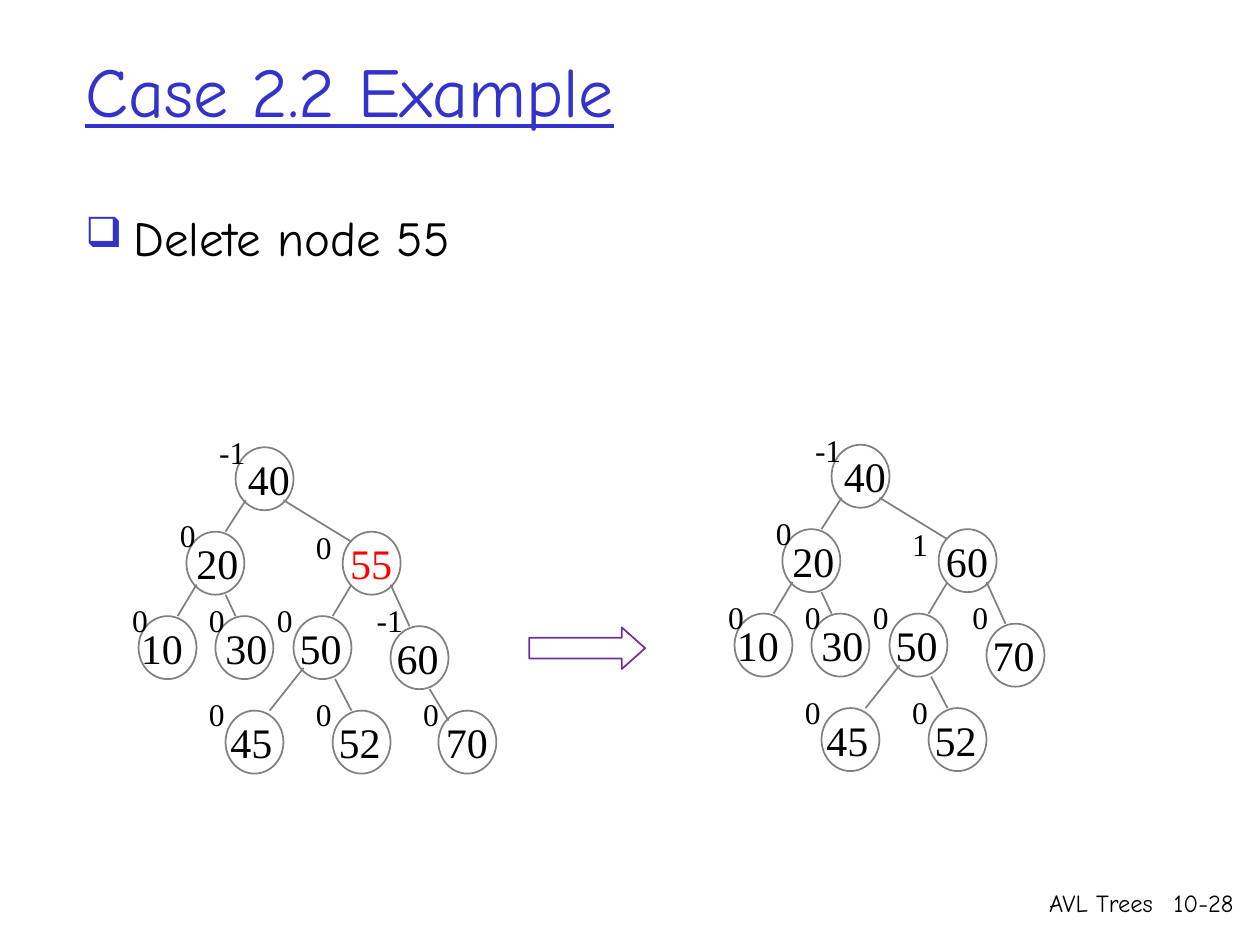
from dataclasses import dataclass

from lxml import etree
from pptx import Presentation, util as u
from pptx.dml.color import RGBColor
from pptx.enum import shapes, text
from pptx.oxml.ns import qn


def colour(value):
    return RGBColor.from_string(value)


@dataclass
class Canvas:
    """Style, current slide and the shape collection that is being filled."""
    slide: object
    shapes: object
    heading_font: str = "Comic Neue"
    tree_font: str = "Times New Roman"
    ink: str = "000000"
    accent: str = "3333CC"
    outline: str = "808080"

    def start_group(self):
        self.shapes = self.slide.shapes.add_group_shape().shapes

    def end_group(self):
        self.shapes = self.slide.shapes

    def text(self, words, left, top, width, height, size, font=None,
             fill=None, align=text.PP_ALIGN.LEFT, wrap=True, grow=False):
        box = self.shapes.add_textbox(*map(u.Inches, (left, top, width, height)))
        frame = box.text_frame
        frame.text = words
        frame.word_wrap = wrap
        if grow:
            frame.auto_size = text.MSO_AUTO_SIZE.SHAPE_TO_FIT_TEXT
        paragraph = frame.paragraphs[0]
        paragraph.alignment = align
        run_font = paragraph.runs[0].font
        run_font.size = u.Pt(size)
        run_font.name = font or self.heading_font
        run_font.color.rgb = colour(fill or self.ink)
        return box

    def title(self, words):
        frame = self.text(words, 0.58, 0.25, 8.5, 0.92, 40, fill=self.accent).text_frame
        frame.vertical_anchor = text.MSO_ANCHOR.MIDDLE
        frame.paragraphs[0].runs[0].font.underline = True

    def bullet(self, words):
        paragraph = self.text(words, 0.58, 1.6, 8.5, 5.08, 28).text_frame.paragraphs[0]
        paragraph.space_before = u.Pt(5.6)
        properties = paragraph._p.get_or_add_pPr()
        indent = u.Inches(0.38)
        properties.set("marL", str(indent))
        properties.set("indent", str(-indent))
        bullet_colour = etree.SubElement(properties, qn("a:buClr"))
        etree.SubElement(bullet_colour, qn("a:srgbClr"), val=self.accent)
        etree.SubElement(properties, qn("a:buSzPct"), val="85000")
        etree.SubElement(properties, qn("a:buChar"), char="❑")

    def outlined(self, kind, left, top, width, height, line=None):
        shape = self.shapes.add_shape(kind, *map(u.Inches, (left, top, width, height)))
        shape.shadow.inherit = False
        shape.fill.background()
        shape.line.color.rgb = colour(line or self.outline)
        shape.line.width = u.Pt(1)
        return shape

    def edge(self, x1, y1, x2, y2):
        line = self.shapes.add_connector(
            shapes.MSO_CONNECTOR.STRAIGHT, *map(u.Inches, (x1, y1, x2, y2)))
        line.line.color.rgb = colour(self.outline)
        line.line.width = u.Pt(1)
        etree.SubElement(line._element.spPr, qn("a:effectLst"))

    def node(self, key, balance, left, top, key_left, balance_left, balance_top, fill):
        self.outlined(shapes.MSO_SHAPE.OVAL, left, top, 0.46, 0.5)
        self.text(key, key_left, top, 0.54, 0.5, 24, self.tree_font, fill, grow=True)
        balance_width = 0.33 if len(balance) == 1 else 0.41
        self.text(balance, balance_left, balance_top, balance_width, 0.4, 18,
                  self.tree_font, wrap=False, grow=True)

    def tree(self, nodes, dx=0, dy=0, marked=None):
        """Draw {slot: (key, balance)} as one group, shifted by dx and dy."""
        self.start_group()
        for slot, (key, balance) in nodes.items():
            left, top, key_left, balance_left, balance_top = SLOTS[slot]
            self.node(key, balance, left + dx, top + dy, key_left + dx,
                      balance_left + dx, balance_top + dy,
                      "FF0000" if key == marked else self.ink)
            if slot in EDGES:
                x1, y1, x2, y2 = EDGES[slot]
                self.edge(x1 + dx, y1 + dy, x2 + dx, y2 + dy)
        self.end_group()


# Slot name is the way down from the root:
# circle left and top, key left, balance left and top
SLOTS = {
    "root": (1.87, 3.55, 1.87, 1.64, 3.39),
    "L": (1.48, 4.22, 1.46, 1.33, 4.05),
    "R": (2.72, 4.22, 2.68, 2.41, 4.14),
    "LL": (1.1, 4.89, 1.02, 0.95, 4.72),
    "LR": (1.71, 4.89, 1.69, 1.56, 4.72),
    "RL": (2.33, 4.89, 2.28, 2.1, 4.72),
    "RR": (3.1, 4.97, 3.05, 2.89, 4.72),
    "RLL": (1.79, 5.64, 1.73, 1.56, 5.47),
    "RLR": (2.64, 5.64, 2.59, 2.41, 5.47),
    "RRR": (3.48, 5.64, 3.44, 3.26, 5.47),
}
# Line from the parent to each slot
EDGES = {
    "L": (1.95, 3.97, 1.79, 4.22),
    "R": (2.25, 3.97, 2.79, 4.3),
    "LL": (1.56, 4.64, 1.41, 4.89),
    "LR": (1.79, 4.72, 1.87, 4.89),
    "RL": (2.79, 4.64, 2.64, 4.89),
    "RR": (3.1, 4.64, 3.25, 4.97),
    "RLL": (2.41, 5.3, 2.14, 5.64),
    "RLR": (2.66, 5.39, 2.79, 5.64),
    "RRR": (3.41, 5.47, 3.56, 5.72),
}
UNCHANGED = {
    "root": ("40", "-1"), "L": ("20", "0"), "LL": ("10", "0"), "LR": ("30", "0"),
    "RL": ("50", "0"), "RLL": ("45", "0"), "RLR": ("52", "0"),
}
BEFORE = {**UNCHANGED, "R": ("55", "0"), "RR": ("60", "-1"), "RRR": ("70", "0")}
AFTER = {**UNCHANGED, "R": ("60", "1"), "RR": ("70", "0")}


def main():
    presentation = Presentation()
    presentation.slide_width = u.Inches(10)
    presentation.slide_height = u.Inches(7.5)
    slide = presentation.slides.add_slide(presentation.slide_layouts[6])
    canvas = Canvas(slide, slide.shapes)

    canvas.title("Case 2.2 Example")
    canvas.bullet("Delete node 55")
    for words, left, width in (("AVL Trees", 6.08, 3.17), ("10-28", 9.08, 0.81)):
        canvas.text(words, left, 7, width, 0.5, 14, align=text.PP_ALIGN.RIGHT)

    canvas.tree(BEFORE, marked="55")
    arrow = canvas.outlined(shapes.MSO_SHAPE.RIGHT_ARROW, 4.2, 4.98, 0.92, 0.33, "7030A0")
    arrow.adjustments[1] = 0.56
    canvas.tree(AFTER, dx=4.73, dy=-0.02)

    presentation.save("out.pptx")


if __name__ == "__main__":
    main()
